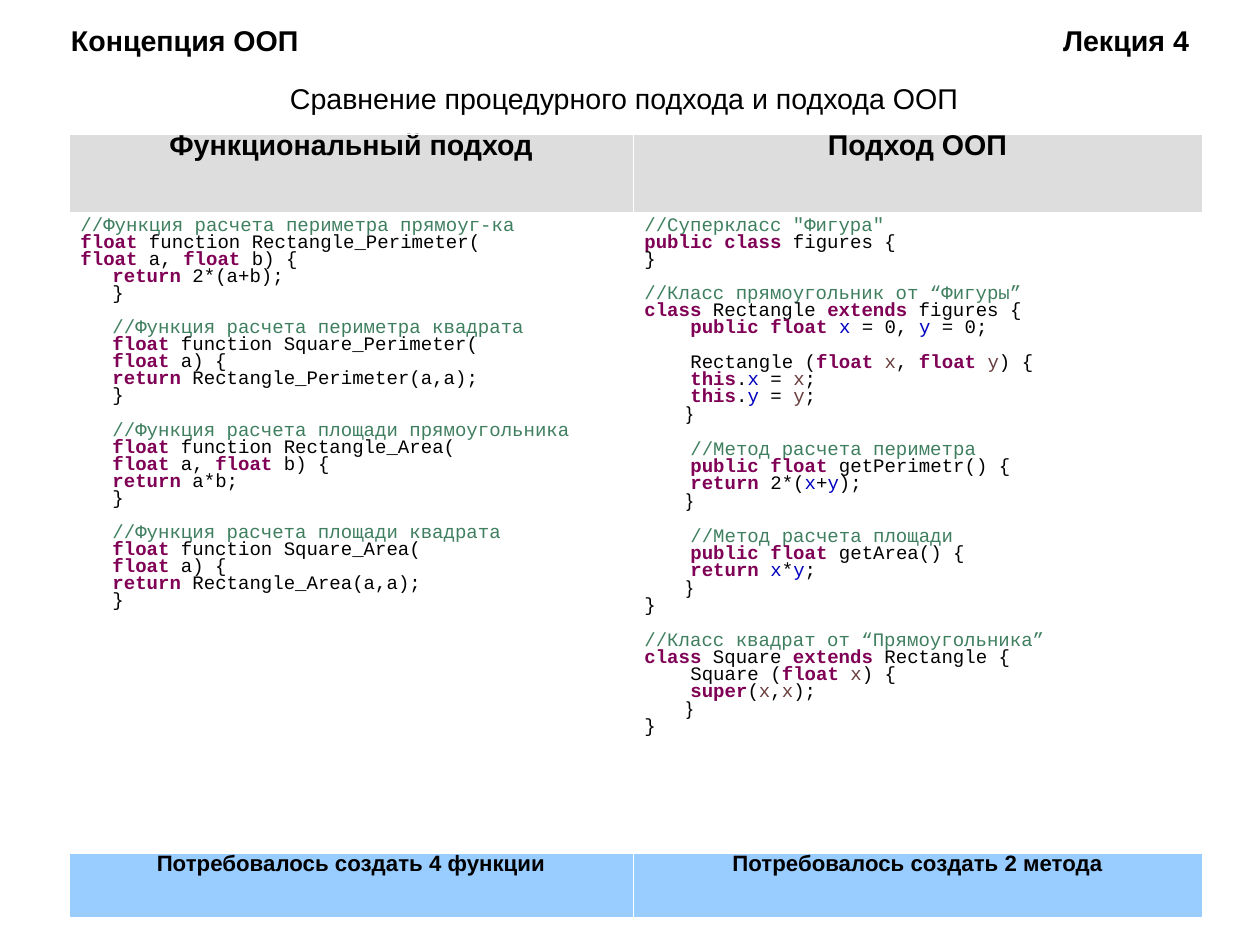
import lxml.etree
import pptx
import pptx.dml.color
import pptx.enum.text
import pptx.oxml.ns
import pptx.util

RGB = pptx.dml.color.RGBColor
ALIGN = pptx.enum.text.PP_ALIGN
BLACK = RGB(0x00, 0x00, 0x00)
WHITE = RGB(0xFF, 0xFF, 0xFF)
GREY = RGB(0xDD, 0xDD, 0xDD)
SKY = RGB(0x99, 0xCC, 0xFF)
GREEN = RGB(0x3F, 0x7F, 0x5F)
PLUM = RGB(0x7F, 0x00, 0x55)
BLUE = RGB(0x00, 0x00, 0xC0)
BROWN = RGB(0x6A, 0x3E, 0x3E)

SYNTAX = {"%": GREEN, "#": PLUM, "@": BLUE, "$": BROWN}
STEP = 46
BRACE = 42

FUNCTIONS = [
    ("периметра прямоуг-ка", "Rectangle_Perimeter", "#float| a, |#float| b) {", "2*(a+b);"),
    ("периметра квадрата", "Square_Perimeter", "#float| a) {", "Rectangle_Perimeter(a,a);"),
    ("площади прямоугольника", "Rectangle_Area", "#float| a, |#float| b) {", "a*b;"),
    ("площади квадрата", "Square_Area", "#float| a) {", "Rectangle_Area(a,a);"),
]

CLASSES = [
    (0, 0, '%//Суперкласс "Фигура"'),
    (0, 0, "#public class| figures {"),
    (0, 0, "}"),
    (0, 11, "%//Класс прямоугольник от “Фигуры”"),
    (0, 0, "#class| Rectangle |#extends| figures {"),
    (STEP, 0, "#public float |@x| = 0, |@y| = 0;"),
    (STEP, 11, "Rectangle (|#float |$x|, |#float |$y|) {"),
    (STEP, 0, "#this|.|@x| = |$x|;"),
    (STEP, 0, "#this|.|@y| = |$y|;"),
    (BRACE, 0, "}"),
    (STEP, 11, "%//Метод расчета периметра"),
    (STEP, 0, "#public float| getPerimetr() {"),
    (STEP, 0, "#return| 2*(|@x|+|@y|);"),
    (BRACE, 0, "}"),
    (STEP, 11, "%//Метод расчета площади"),
    (STEP, 0, "#public float| getArea() {"),
    (STEP, 0, "#return |@x|*|@y|;"),
    (BRACE, 0, "}"),
    (0, 0, "}"),
    (0, 11, "%//Класс квадрат от “Прямоугольника”"),
    (0, 0, "#class| Square |#extends| Rectangle {"),
    (STEP, 0, "Square (|#float |$x|) {"),
    (STEP, 0, "#super|(|$x|,|$x|);"),
    (BRACE, 0, "}"),
    (0, 0, "}"),
]


def px(count):
    """Turn pixels into EMU."""
    return pptx.util.Emu(count * 8000)


def function_lines():
    """Lay out the four functions as indented code lines."""
    lines = []
    for index, (purpose, name, arguments, result) in enumerate(FUNCTIONS):
        indent, gap = (32, 11) if index else (0, 0)
        lines += [
            (indent, gap, "%//Функция расчета " + purpose),
            (indent, 0, f"#float| function {name}(|\n|{arguments}"),
            (32, 0, "#return |" + result),
            (32, 0, "}"),
        ]
    return lines


class Sheet:
    """Holds the fonts and the page, and adds elements to it."""

    heading_font = "Arial"
    code_font = "Courier New"

    def __init__(self, page):
        """Keep the current page."""
        self.page = page

    def span(self, para, text, size, font, color=BLACK, bold=False):
        """Add one styled run."""
        span = para.add_run()
        span.text = text
        span.font.size = pptx.util.Pt(size)
        span.font.name = font
        span.font.bold = bold
        span.font.color.rgb = color

    def box(self, place, insets, text, bold=False):
        """Add a text box and return its frame and paragraph."""
        frame = self.page.shapes.add_textbox(*map(px, place)).text_frame
        frame.word_wrap = True
        frame.margin_left, frame.margin_top, frame.margin_right, frame.margin_bottom = map(px, insets)
        para = frame.paragraphs[0]
        para.line_spacing = 0.93
        self.span(para, text, 18, self.heading_font, bold=bold)
        return frame, para

    def tab(self, para, position):
        """Set a right-aligned tab stop."""
        stops = lxml.etree.SubElement(para._p.get_or_add_pPr(), pptx.oxml.ns.qn("a:tabLst"))
        lxml.etree.SubElement(stops, pptx.oxml.ns.qn("a:tab"), pos=str(px(position)), algn="r")

    def table(self, left, top, widths, heights):
        """Add a plain table."""
        place = map(px, (left, top, sum(widths), sum(heights)))
        table = self.page.shapes.add_table(len(heights), len(widths), *place).table
        table.first_row = table.horz_banding = False
        for column, width in zip(table.columns, widths):
            column.width = px(width)
        for row, height in zip(table.rows, heights):
            row.height = px(height)
        return table

    def paint(self, cell, color):
        """Give a cell thin white borders and a fill."""
        for side in ("a:lnL", "a:lnR", "a:lnT", "a:lnB"):
            line = lxml.etree.SubElement(cell._tc.get_or_add_tcPr(), pptx.oxml.ns.qn(side), w="762")
            fill = lxml.etree.SubElement(line, pptx.oxml.ns.qn("a:solidFill"))
            lxml.etree.SubElement(fill, pptx.oxml.ns.qn("a:srgbClr"), val=str(WHITE))
        cell.fill.solid()
        cell.fill.fore_color.rgb = color

    def label(self, cell, text, size, color):
        """Fill a cell with a centred bold label."""
        self.paint(cell, color)
        para = cell.text_frame.paragraphs[0]
        para.alignment = ALIGN.CENTER
        para.line_spacing = 0.62
        self.span(para, text, size, self.heading_font, bold=True)

    def code(self, cell, lines):
        """Fill a cell with highlighted code."""
        self.paint(cell, WHITE)
        frame = cell.text_frame
        for index, (indent, gap, markup) in enumerate(lines):
            para = frame.add_paragraph() if index else frame.paragraphs[0]
            para._p.get_or_add_pPr().set("marL", str(px(indent)))
            para.line_spacing = 0.87 if indent == BRACE else 0.79
            para.space_before = pptx.util.Pt(gap)
            font = self.heading_font if indent == BRACE else self.code_font
            for part in markup.split("|"):
                if part == "\n":
                    para.add_line_break()
                    continue
                color = SYNTAX.get(part[0], BLACK)
                text = part[1:] if part[0] in SYNTAX else part
                self.span(para, text, 12, font, color, color == PLUM)


def main():
    """Build the comparison slide."""
    deck = pptx.Presentation()
    deck.slide_width, deck.slide_height = px(1260), px(945)
    sheet = Sheet(deck.slides.add_slide(deck.slide_layouts[6]))

    frame, para = sheet.box((64, 14, 1134, 53), (7, 2, 0, 0), "Концепция ООП\tЛекция 4", bold=True)
    frame.vertical_anchor = pptx.enum.text.MSO_ANCHOR.MIDDLE
    sheet.tab(para, 1118)

    table = sheet.table(69, 134, (564, 569), (78, 641, 64))
    columns = [
        ("Функциональный подход", function_lines(), "Потребовалось создать 4 функции"),
        ("Подход ООП", CLASSES, "Потребовалось создать 2 метода"),
    ]
    for index, (heading, lines, summary) in enumerate(columns):
        sheet.label(table.cell(0, index), heading, 18, GREY)
        sheet.code(table.cell(1, index), lines)
        sheet.label(table.cell(2, index), summary, 14, SKY)

    sheet.box((279, 76, 720, 43), (11, 8, 11, 6), "Сравнение процедурного подхода и подхода ООП")
    deck.save("out.pptx")


if __name__ == "__main__":
    main()
